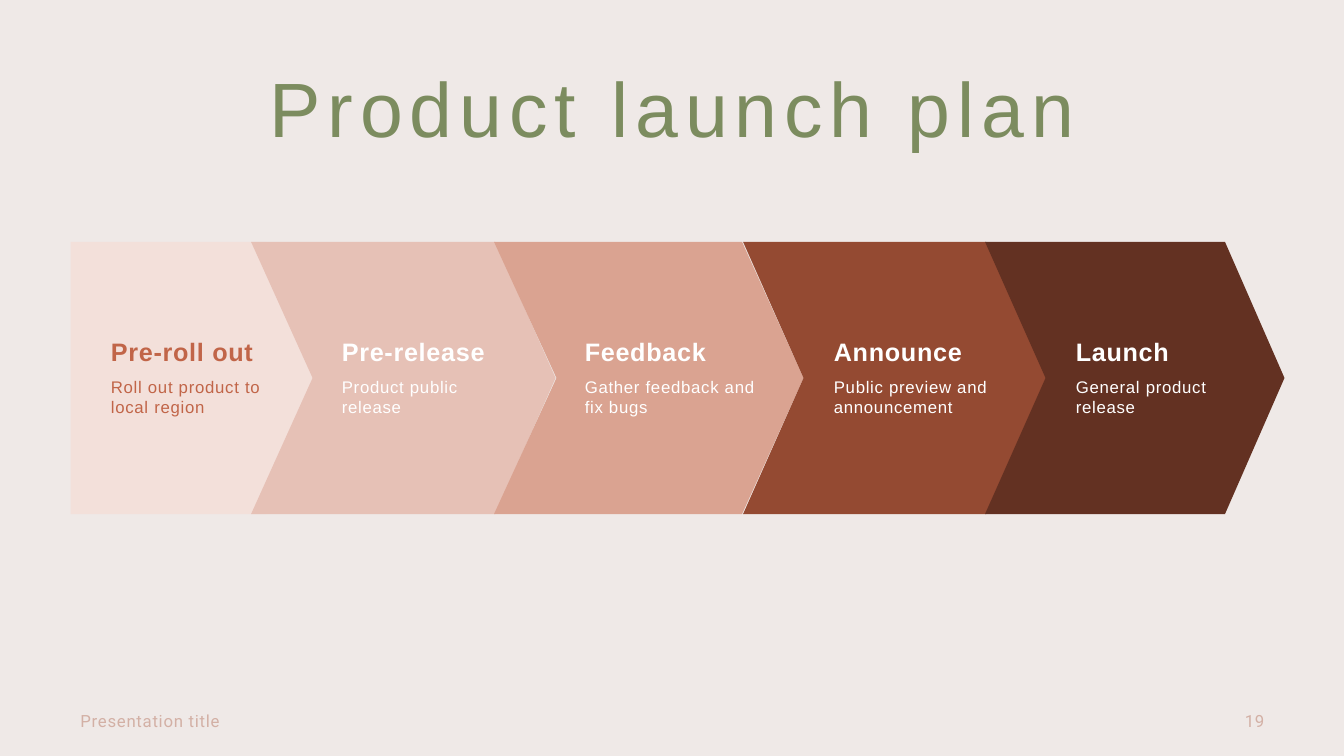
from dataclasses import dataclass

from pptx import Presentation
from pptx import util as u
from pptx.dml.color import RGBColor
from pptx.enum import text

PX = u.Inches(1) // 100


@dataclass(frozen=True)
class Theme:
    background: str = "EFE9E7"
    title: str = "7C8C5F"
    footer: str = "D3B0A5"
    accent: str = "C16548"
    white: str = "FFFFFF"
    steps: tuple = ("F3E0DA", "E6C1B6", "DAA391", "944A32", "633122")
    title_size: int = 55
    heading_size: int = 18
    body_size: int = 12
    font: str = "Arial"
    footer_font: str = "Roboto"


class SlideBuilder:
    def __init__(self, deck, theme):
        self.theme = theme
        self.page = deck.slides.add_slide(deck.slide_layouts[5])
        fill = self.page.background.fill
        fill.solid()
        fill.fore_color.rgb = RGBColor.from_string(theme.background)
        self.arrows = self.page.shapes.add_group_shape()

    def style(self, para, size, color, font, spacing, bold=False):
        for span in para.runs:
            span.font.size = u.Pt(size)
            span.font.name = font
            span.font.bold = bold
            span.font.color.rgb = RGBColor.from_string(color)
            span._r.get_or_add_rPr().set("spc", str(round(spacing * 100)))

    def frame(self, shape, margins, anchor):
        frame = shape.text_frame
        frame.word_wrap = True
        frame.auto_size = text.MSO_AUTO_SIZE.NONE
        frame.vertical_anchor = anchor
        (frame.margin_left, frame.margin_top,
         frame.margin_right, frame.margin_bottom) = (m * PX for m in margins)
        return frame

    def title(self, wording, left, top, width, height):
        box = self.page.shapes.title
        box.left, box.top, box.width, box.height = (
            n * PX for n in (left, top, width, height))
        frame = self.frame(box, (0, 0, 0, 0), text.MSO_ANCHOR.TOP)
        frame.text = wording
        para = frame.paragraphs[0]
        para.alignment = text.PP_ALIGN.CENTER
        para.line_spacing = 0.9
        self.style(para, self.theme.title_size, self.theme.title, self.theme.font, 5)

    def arrow(self, outline, margins, fill, color, heading, body):
        builder = self.arrows.shapes.build_freeform(*outline[0], scale=PX)
        builder.add_line_segments(outline[1:], close=True)
        shape = builder.convert_to_shape()
        shape.shadow.inherit = False
        shape.fill.solid()
        shape.fill.fore_color.rgb = RGBColor.from_string(fill)
        shape.line.fill.background()
        frame = self.frame(shape, margins, text.MSO_ANCHOR.MIDDLE)
        frame.text = f"{heading}\n{body}"
        sizes = (self.theme.heading_size, self.theme.body_size)
        for para, size, bold, after in zip(frame.paragraphs, sizes, (True, False), (7, 5)):
            para.alignment = text.PP_ALIGN.LEFT
            para.space_after = u.Pt(after)
            self.style(para, size, color, self.theme.font, 0.5, bold)
        frame.paragraphs[0].line_spacing = 0.9

    def footer(self, wording, left, width, alignment):
        box = self.page.shapes.add_textbox(left * PX, 695 * PX, width * PX, 40 * PX)
        frame = self.frame(box, (10, 5, 10, 5), text.MSO_ANCHOR.MIDDLE)
        frame.text = wording
        para = frame.paragraphs[0]
        para.alignment = alignment
        self.style(para, self.theme.body_size, self.theme.footer,
                   self.theme.footer_font, 0.5)


STEPS = [
    (70, None, 264, 313, "Pre-roll out", "Roll out product to local region"),
    (249, 310, 491, 551, "Pre-release", "Product public release"),
    (490, 552, 736, 797, "Feedback", "Gather feedback and fix bugs"),
    (737, 797, 978, 1038, "Announce", "Public preview and announcement"),
    (977, 1037, 1215, 1274, "Launch", "General product release"),
]
TOP, MIDDLE, BOTTOM = 240, 375, 510


def main():
    deck = Presentation()
    deck.slide_width, deck.slide_height = u.Inches(13.33), u.Inches(7.5)
    theme = Theme()
    slide = SlideBuilder(deck, theme)
    for fill, (left, notch, shoulder, tip, heading, body) in zip(theme.steps, STEPS):
        outline = [(left, TOP), (shoulder, TOP), (tip, MIDDLE),
                   (shoulder, BOTTOM), (left, BOTTOM)]
        margins, color = (40, 20, 50, 20), theme.accent
        if notch is not None:
            outline.append((notch, MIDDLE))
            margins, color = (90, 20, 40, 20), theme.white
        slide.arrow(outline, margins, fill, color, heading, body)
    slide.title("Product launch plan", 70, 70, 1194, 170)
    slide.footer("Presentation title", 70, 450, text.PP_ALIGN.LEFT)
    slide.footer("19", 964, 300, text.PP_ALIGN.RIGHT)
    deck.save("out.pptx")


if __name__ == "__main__":
    main()
